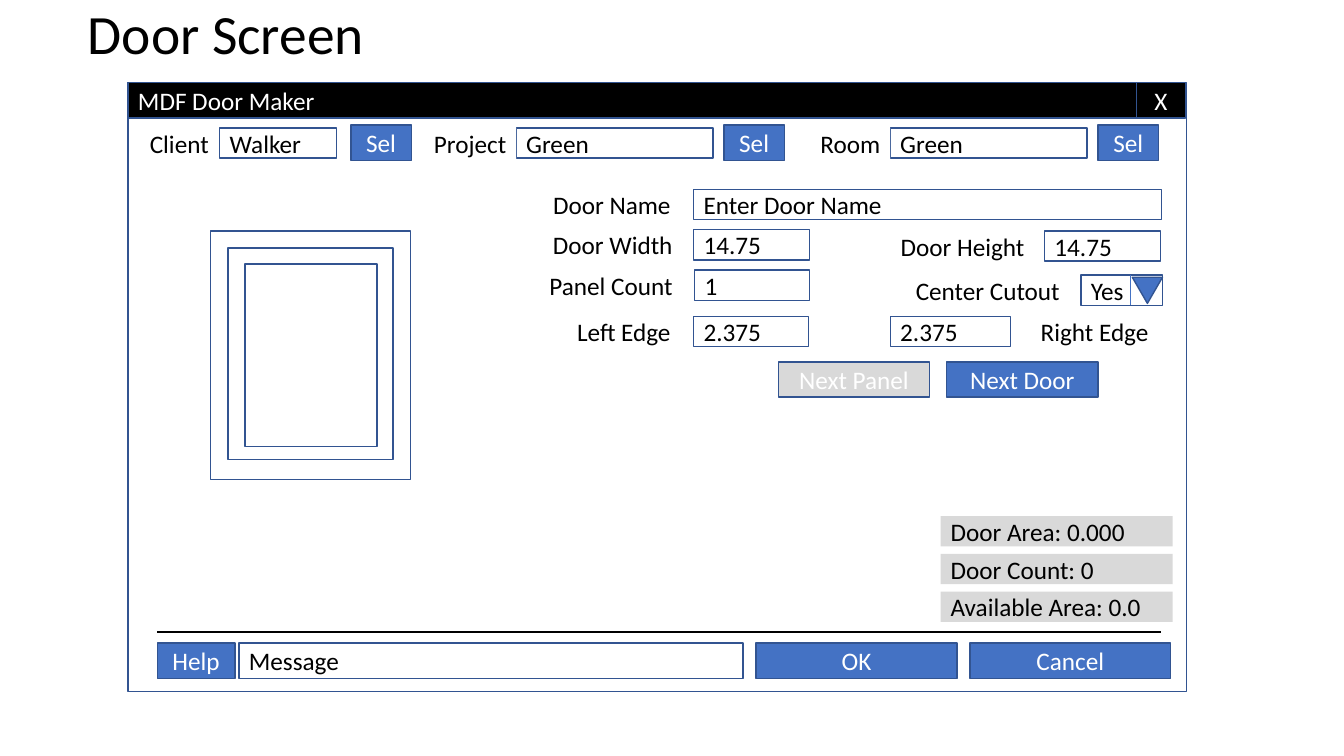
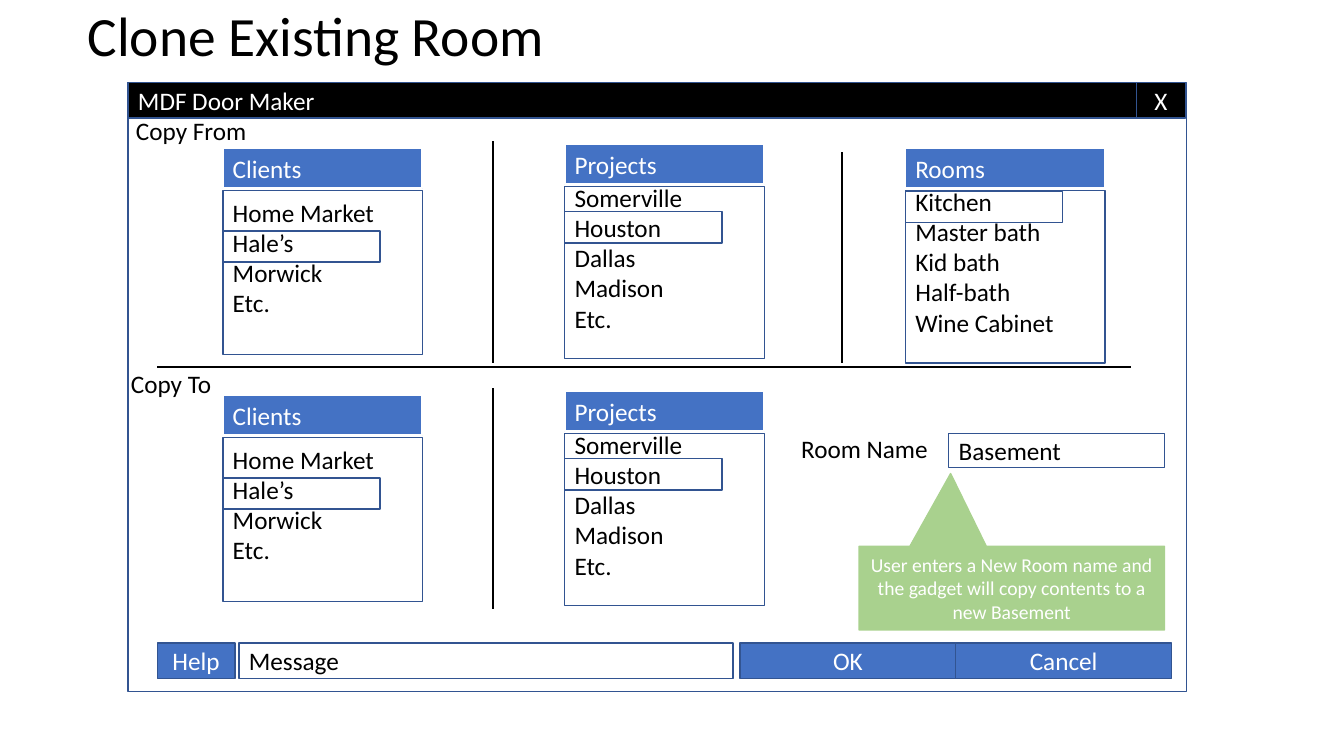
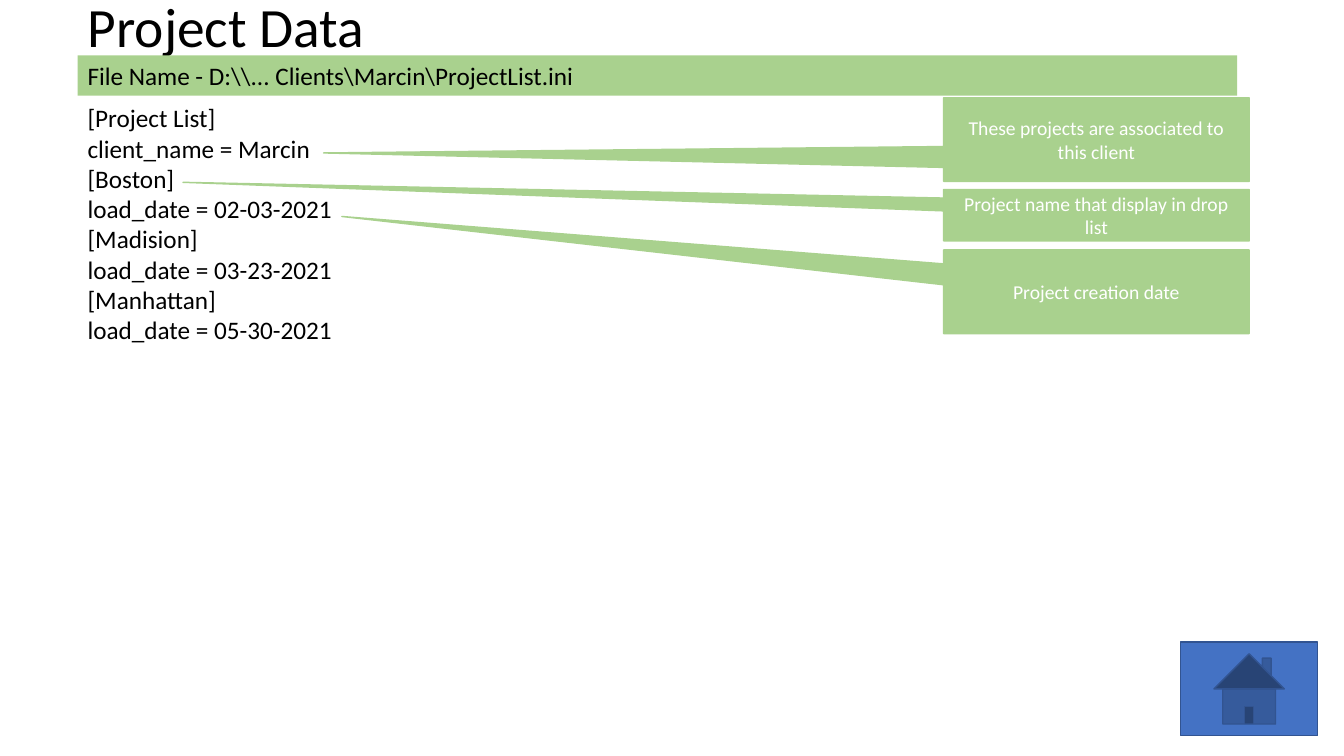
from lxml.etree import SubElement
from pptx import Presentation
from pptx.dml.color import RGBColor
from pptx.enum.shapes import MSO_CONNECTOR, MSO_SHAPE as Preset
from pptx.enum.text import MSO_ANCHOR, MSO_AUTO_SIZE, PP_ALIGN as Align
from pptx.oxml.ns import qn
from pptx.util import Inches, Pt

FONT = "Calibri"
COLORS = {"black": "000000", "white": "FFFFFF", "blue": "4472C4",
          "edge": "325491", "gray": "D9D9D9", "green": "A9D18E"}
STYLES = {
    "frame": (None, "edge", 1, "black", Align.LEFT, 18),
    "bar": ("black", "edge", 1, "white", Align.LEFT, 18),
    "close": ("black", "edge", 1, "white", Align.CENTER, 18),
    "field": ("white", "edge", 1, "black", Align.LEFT, 18),
    "label": ("white", None, 0, "black", Align.RIGHT, 18),
    "button": ("blue", "edge", 1, "white", Align.CENTER, 18),
    "disabled": ("gray", "edge", 1, "white", Align.CENTER, 18),
    "total": ("gray", None, 0, "black", Align.LEFT, 18),
    "header": ("blue", "white", 1.5, "white", Align.LEFT, 18),
    "banner": ("green", None, 0, "black", Align.LEFT, 18),
    "note": ("green", "green", 1, "white", Align.CENTER, 14),
}
ROW, BUTTON = 0.3, 0.35
LEFT, WIDTH = 0.77, 11.5
FOOTER_TOP = 6.38

SELECTORS = [("Client", 1.31, 0.86, "Walker", 2.18, 1.16, 3.48),
             ("Project", 4.2, 0.92, "Green", 5.12, 1.95, 7.18),
             ("Room", 8.02, 0.81, "Green", 8.83, 1.95, 10.89)]
DOOR_FIELDS = [("Door Name", 4.44, 2.31, "Enter Door Name", 6.88, 4.64, 1.88),
               ("Door Width", 5.31, 1.46, "14.75", 6.88, 1.15, 2.28),
               ("Door Height", 8.8, 1.46, "14.75", 10.36, 1.15, 2.29),
               ("Panel Count", 4.46, 2.31, "1", 6.89, 1.14, 2.68),
               ("Center Cutout", 8.9, 1.71, "Yes", 10.72, 0.81, 2.73),
               ("Left Edge", 5.61, 1.14, "2.375", 6.88, 1.14, 3.14),
               ("Right Edge", 10.16, 1.33, "2.375", 8.83, 1.19, 3.14)]
DOOR_OUTLINES = [(2.09, 2.29, 1.98, 2.47), (2.26, 2.46, 1.64, 2.1),
                 (2.43, 2.62, 1.31, 1.81)]
TOTALS = ["Door Area: 0.000", "Door Count: 0", "Available Area: 0.0"]

CLIENTS = ("Clients", ["Home Market", "Hale’s", "Morwick", "Etc."],
           2.21, 1.89, 1.63, 0.4)
PROJECTS = ("Projects", ["Somerville", "Houston", "Dallas", "Madison", "Etc."],
            5.6, 1.85, 1.71, 0.25)
ROOMS = ("Rooms", ["Kitchen", "Master bath", "Kid bath", "Half-bath", "Wine Cabinet"],
         8.98, 1.89, 1.71, 0.01)
COPY_TO_DROP = 2.45
PICKERS = [(CLIENTS, 0), (PROJECTS, 0), (ROOMS, 0),
           (CLIENTS, COPY_TO_DROP), (PROJECTS, COPY_TO_DROP)]
DIVIDERS = [(4.89, 1.4, 4.89, 3.6), (8.35, 1.51, 8.35, 3.6),
            (1.56, 3.64, 11.22, 3.64), (4.89, 3.85, 4.89, 6.04)]
ROOM_NOTE = ("User enters a New Room name and the gadget will copy contents "
             "to a new Basement")

PROJECT_FILE = "File Name - D:\\\\... Clients\\Marcin\\ProjectList.ini"
PROJECT_LINES = ["[Project List]", "client_name = Marcin",
                 "[Boston]", "load_date = 02-03-2021",
                 "[Madision]", "load_date = 03-23-2021",
                 "[Manhattan]", "load_date = 05-30-2021"]
PROJECT_NOTES = [
    ("These projects are associated to this client", 0.97, 0.83, (-2.53, 0.16)),
    ("Project name that display in drop list", 1.88, 0.51, (-2.99, -0.64)),
    ("Project creation date", 2.48, 0.83, (-2.47, -0.9))]


def color(name):
    return RGBColor.from_string(COLORS[name])


def write(frame, lines, ink="black", align=Align.LEFT, size=18):
    frame.text = "\n".join(lines)
    for para in frame.paragraphs:
        para.alignment = align
        para.font.name, para.font.size = FONT, Pt(size)
        para.font.color.rgb = color(ink)


def box(page, style, at, *lines, preset=Preset.RECTANGLE):
    fill, edge, weight, ink, align, size = STYLES[style]
    shape = page.shapes.add_shape(preset, *map(Inches, at))
    shape.shadow.inherit = False
    if fill:
        shape.fill.solid()
        shape.fill.fore_color.rgb = color(fill)
    else:
        shape.fill.background()
    if edge:
        shape.line.color.rgb = color(edge)
        shape.line.width = Pt(weight)
    else:
        shape.line.fill.background()
    if lines:
        shape.text_frame.word_wrap = True
        shape.text_frame.vertical_anchor = MSO_ANCHOR.MIDDLE
        write(shape.text_frame, lines, ink, align, size)
    return shape


def text(page, at, lines, wrap=False):
    frame = page.shapes.add_textbox(*map(Inches, at)).text_frame
    frame.word_wrap = wrap
    write(frame, lines)


def rule(page, ends, ink="black", weight=1.5):
    line = page.shapes.add_connector(MSO_CONNECTOR.STRAIGHT, *map(Inches, ends))
    line.line.color.rgb = color(ink)
    line.line.width = Pt(weight)
    SubElement(line._element.spPr, qn("a:effectLst"))


def callout(page, at, words, tip):
    shape = box(page, "note", at, words, preset=Preset.RECTANGULAR_CALLOUT)
    shape.adjustments[0], shape.adjustments[1] = tip


def titled_page(deck, words, top):
    page = deck.slides.add_slide(deck.slide_layouts[5])
    title = page.shapes.title
    title.left, title.top, title.width, title.height = map(
        Inches, (LEFT, top, WIDTH, 0.52))
    frame = title.text_frame
    write(frame, [words], size=39.6)
    frame.word_wrap = True
    frame.auto_size = MSO_AUTO_SIZE.NONE
    frame.vertical_anchor = MSO_ANCHOR.MIDDLE
    frame.paragraphs[0].line_spacing = 0.9
    return page


def window(page, message_width, ok, cancel, button_width):
    box(page, "frame", (1.27, 0.82, 10.5, 6.04))
    box(page, "bar", (1.27, 0.82, 10.01, BUTTON), "MDF Door Maker")
    box(page, "close", (11.27, 0.82, 0.49, BUTTON), "X")
    for style, words, left, width in [("button", "Help", 1.56, 0.77),
                                      ("field", "Message", 2.37, message_width),
                                      ("button", "OK", ok, button_width),
                                      ("button", "Cancel", cancel, button_width)]:
        box(page, style, (left, FOOTER_TOP, width, BUTTON), words)


def labelled_field(page, label, label_left, label_width, value, left, width, top):
    box(page, "field", (left, top, width, ROW), value)
    box(page, "label", (label_left, top, label_width, ROW), label)


def picker(page, heading, items, left, top, height, selected):
    listing = box(page, "field", (left, top, 1.98, height), *items)
    listing.text_frame.margin_bottom = Inches(0.05 + ROW)
    box(page, "header", (left, top - 0.42, 1.98, 0.4), heading)
    box(page, "frame", (left, top + selected, 1.56, 0.31))


def door_screen(deck):
    page = titled_page(deck, "Door Screen", 0.1)
    window(page, 5, 7.5, 9.62, 1.99)
    rule(page, (1.56, 6.27, 11.52, 6.27))
    for *entry, select_left in SELECTORS:
        labelled_field(page, *entry, 1.27)
        box(page, "button", (select_left, 1.24, 0.6, BUTTON), "Sel")
    for entry in DOOR_FIELDS:
        labelled_field(page, *entry)
    arrow = box(page, "button", (11.23, 2.75, 0.3, 0.26),
                preset=Preset.ISOSCELES_TRIANGLE)
    arrow.rotation = 180
    rule(page, (11.21, 3.03, 11.21, 2.73), "blue", 0.5)
    box(page, "disabled", (7.72, 3.59, 1.5, BUTTON), "Next Panel")
    box(page, "button", (9.39, 3.59, 1.5, BUTTON), "Next Door")
    for outline in DOOR_OUTLINES:
        box(page, "frame", outline)
    for index, total in enumerate(TOTALS):
        box(page, "total", (9.33, 5.12 + 0.375 * index, 2.3, ROW), total)


def clone_room(deck):
    page = titled_page(deck, "Clone Existing Room", 0.12)
    window(page, 4.9, 7.34, 9.48, 2.14)
    for (heading, items, left, top, height, selected), drop in PICKERS:
        picker(page, heading, items, left, top + drop, height, selected)
    for ends in DIVIDERS:
        rule(page, ends)
    box(page, "field", (9.41, 4.3, 2.14, 0.34), "Basement")
    box(page, "label", (7.81, 4.3, 1.49, ROW), "Room Name")
    text(page, (1.25, 1.09, 1.31, 0.4), ["Copy From"])
    text(page, (1.2, 3.6, 1.01, 0.4), ["Copy To"])
    callout(page, (8.52, 5.42, 3.03, 0.83), ROOM_NOTE, (-0.2, -1.37))


def project_data(deck):
    page = titled_page(deck, "Project Data", 0.03)
    text(page, (LEFT, 0.97, 9.24, 2.52), PROJECT_LINES, wrap=True)
    for words, top, height, tip in PROJECT_NOTES:
        callout(page, (9.36, top, 3.03, height), words, tip)
    box(page, "banner", (LEFT, 0.55, WIDTH, 0.4), PROJECT_FILE)
    box(page, "button", (11.71, 6.37, 1.36, 0.93), preset=Preset.ACTION_BUTTON_HOME)


def main():
    deck = Presentation()
    deck.slide_width, deck.slide_height = Inches(13.33), Inches(7.5)
    for build in (door_screen, clone_room, project_data):
        build(deck)
    deck.save("out.pptx")


if __name__ == "__main__":
    main()
